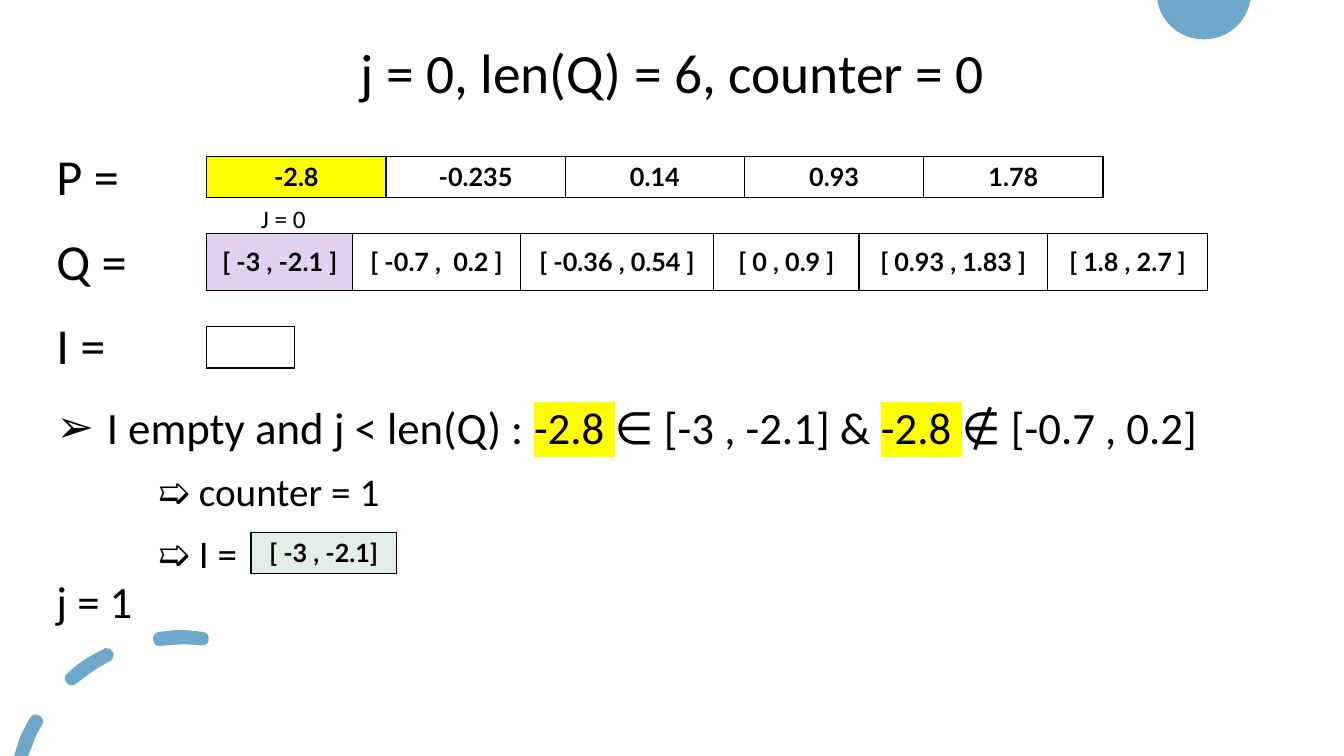
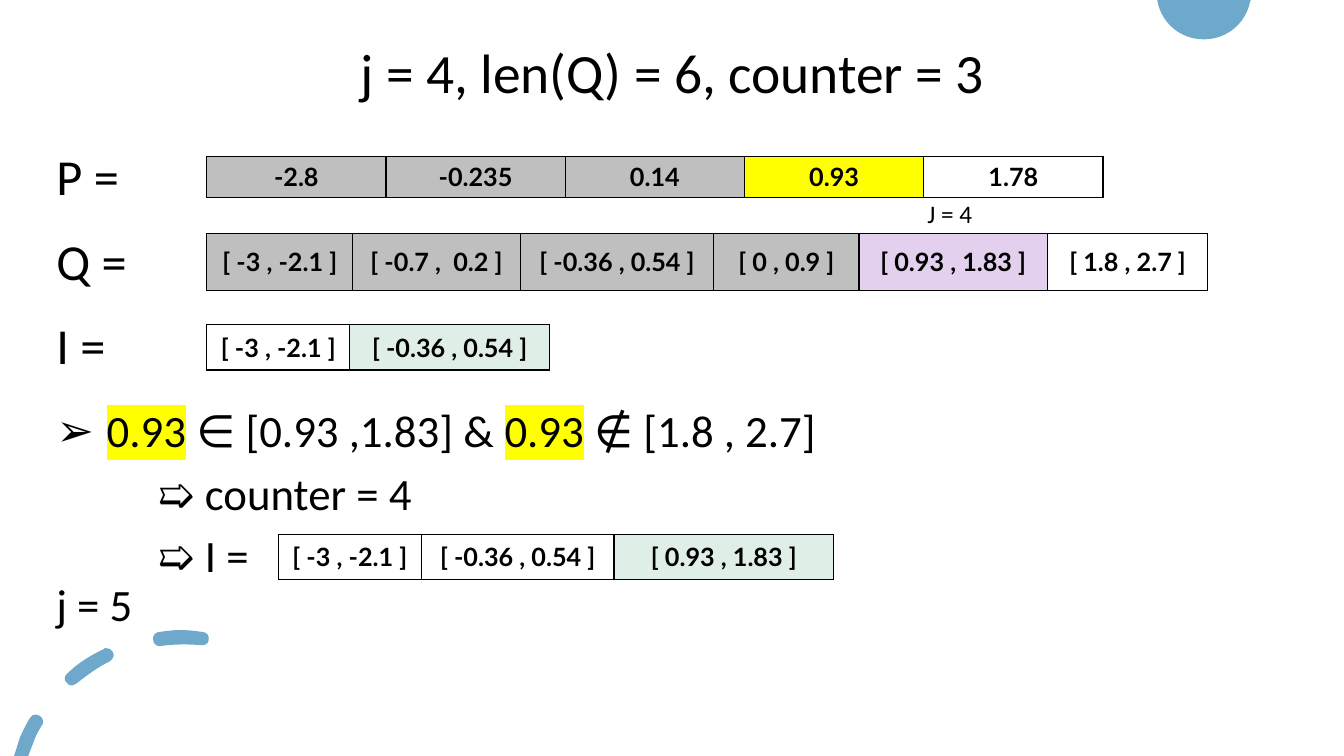
from lxml import etree
from pptx import Presentation
from pptx.dml.color import RGBColor
from pptx.enum import text as t
from pptx.oxml import ns
from pptx.util import Inches, Pt

# Shared style
BLACK = RGBColor(0x00, 0x00, 0x00)
BLUE = RGBColor(0x6E, 0xA8, 0xCA)
YELLOW = RGBColor(0xFF, 0xFF, 0x00)
LILAC = RGBColor(0xE3, 0xD0, 0xEE)
GREY = RGBColor(0xBF, 0xBF, 0xBF)
MINT = RGBColor(0xDF, 0xEF, 0xE8)
TEXT_FONT, CELL_FONT, BULLET_FONT = "Calibri", "Lato", "Arial"
TITLE_BOX = (0.92, 0.4, 11.5, 0.76)
BODY_BOX = (0.46, 1.46, 12.42, 5.25)
TABLE_LEFT = 2.05

# Content: points and intervals
POINTS = ["-2.8", "-0.235", "0.14", "0.93", "1.78"]
INTERVALS = ["[ -3 , -2.1 ]", "[ -0.7 ,  0.2 ]", "[ -0.36 , 0.54 ]",
             "[ 0 , 0.9 ]", "[ 0.93 , 1.83 ]", "[ 1.8 , 2.7 ]"]
POINT_WIDTHS = [8.89 / len(POINTS)] * len(POINTS)
INTERVAL_WIDTHS = [1.45, 1.66, 1.92, 1.44, 1.87, 1.59]
FIRST_CHOSEN = "[ -3 , -2.1\u00a0]"

# Lines: size, left indent, bullet, space before, runs
LABELS = [(36, 0, None, 0, ["P ="]),
          (36, 0, None, 22, ["Q ="]),
          (36, 0, None, 21, ["I ="])]
START_STEPS = [
    (32, 0.5, "➢", 21.5, ["I empty and j < len(Q) : ", "-2.8 ", "∈ [-3 , -2.1] & ",
                          "-2.8 ", "∉ [-0.7 , 0.2]"]),
    (28, 1, None, 13, ["➯ counter = 1"]),
    (28, 1, None, 14, ["➯ I = "]),
    (32, 0, None, 2, ["j = 1"])]
LATER_STEPS = [
    (32, 0.5, "➢", 0, ["0.93", " ∈ [0.93 ,1.83] & ", "0.93", " ∉ [1.8 , 2.7]"]),
    (32, 1, None, 10, ["➯ counter = 4"]),
    (32, 1, None, 10, ["➯ I = "]),
    (32, 0, None, 0, ["j = 5"])]

# Chosen tables: left, top, height, widths, cells
SLIDES = [
    {"title": "j = 0, len(Q) = 6, counter = 0",
     "point": 0, "interval": 0, "marker": ("J = 0", 2.49, 1.97),
     "body": LABELS + START_STEPS, "steps": None,
     "chosen": [(TABLE_LEFT, 3.24, 0.41, [0.87], [""]),
                (2.49, 5.28, 0.41, [1.44], ["[ -3 , -2.1]"])]},
    {"title": "j = 4, len(Q) = 6, counter = 3",
     "point": 3, "interval": 4, "marker": ("J = 4", 9.1, 1.92),
     "body": LABELS, "steps": LATER_STEPS,
     "chosen": [(TABLE_LEFT, 3.22, 0.45, [1.42, 1.98], [FIRST_CHOSEN, INTERVALS[2]]),
                (2.76, 5.3, 0.45, [1.42, 1.91, 2.18],
                 [FIRST_CHOSEN, INTERVALS[2], INTERVALS[4]])]},
]

# Decoration outlines: pairs are corners, sixes are Bezier curves
CIRCLE = [[(11.48, 0), (12.41, 0), (12.4, 0.01),
           (12.36, 0.23, 12.17, 0.39, 11.94, 0.39),
           (11.71, 0.39, 11.52, 0.23, 11.48, 0.01)]]
DASHES = [
    [(0.36, 7.09), (0.34, 7.08, 0.31, 7.1, 0.3, 7.12),
     (0.26, 7.18, 0.23, 7.25, 0.2, 7.31), (0.14, 7.5), (0.28, 7.5), (0.33, 7.37),
     (0.35, 7.31, 0.38, 7.25, 0.42, 7.19), (0.44, 7.16, 0.42, 7.11, 0.39, 7.1),
     (0.38, 7.09, 0.37, 7.09, 0.36, 7.09)],
    [(1.05, 6.43), (1.04, 6.43, 1.03, 6.43, 1.03, 6.44),
     (0.9, 6.5, 0.77, 6.58, 0.67, 6.68), (0.64, 6.7, 0.63, 6.75, 0.66, 6.77),
     (0.67, 6.79, 0.69, 6.8, 0.71, 6.8), (0.73, 6.8, 0.74, 6.79, 0.76, 6.78),
     (0.86, 6.7, 0.97, 6.62, 1.09, 6.56), (1.12, 6.54, 1.14, 6.5, 1.12, 6.47),
     (1.11, 6.44, 1.08, 6.43, 1.05, 6.43)],
    [(1.79, 6.25), (1.72, 6.25, 1.65, 6.26, 1.58, 6.27),
     (1.54, 6.27, 1.51, 6.31, 1.52, 6.35), (1.52, 6.38, 1.55, 6.41, 1.58, 6.41),
     (1.73, 6.39, 1.86, 6.39, 1.99, 6.4), (2.03, 6.41, 2.07, 6.38, 2.07, 6.35),
     (2.08, 6.31, 2.05, 6.27, 2.01, 6.27), (1.94, 6.26, 1.86, 6.25, 1.79, 6.25)],
]


def add_xml(parent, tag, **attributes):
    return etree.SubElement(parent, ns.qn(tag), attributes)


def place(shape, box):
    shape.left, shape.top, shape.width, shape.height = map(Inches, box)


def decorate(layout, slide, outlines):
    """Draw the outlines as one curved shape and move it to the layout."""
    builder = slide.shapes.build_freeform(*map(Inches, outlines[0][0]))
    for i, outline in enumerate(outlines):
        if i:
            builder.move_to(*map(Inches, outline[0]))
        ends = [tuple(map(Inches, segment[-2:])) for segment in outline[1:]]
        builder.add_line_segments(ends, close=True)
    shape = builder.convert_to_shape()

    # Bend the segments that have control points
    segments = [segment for outline in outlines for segment in outline[1:]]
    sides = list(shape._element.iter(ns.qn("a:lnTo")))
    for side, segment in zip(sides, segments):
        if len(segment) == 6:
            curve = etree.Element(ns.qn("a:cubicBezTo"))
            for x, y in zip(segment[::2], segment[1::2]):
                add_xml(curve, "a:pt", x=str(Inches(x) - shape.left),
                        y=str(Inches(y) - shape.top))
            side.getparent().replace(side, curve)

    shape.shadow.inherit = False
    shape.fill.solid()
    shape.fill.fore_color.rgb = BLUE
    shape.line.fill.background()
    layout.shapes._spTree.insert(2, shape._element)


def add_run(paragraph, words, size, font=TEXT_FONT, bold=False, marked=False):
    run = paragraph.add_run()
    run.text = words
    run.font.size, run.font.bold = Pt(size), bold
    run.font.color.rgb = BLACK
    if marked:
        highlight = add_xml(run.font._element, "a:highlight")
        add_xml(highlight, "a:srgbClr", val=str(YELLOW))
    run.font.name = font


def write_lines(frame, lines, current):
    frame.word_wrap = True
    frame.auto_size = t.MSO_AUTO_SIZE.NONE
    for i, (size, indent, bullet, before, runs) in enumerate(lines):
        paragraph = frame.add_paragraph() if i else frame.paragraphs[0]
        paragraph.alignment = t.PP_ALIGN.LEFT
        paragraph.line_spacing = 0.9
        paragraph.space_before, paragraph.space_after = Pt(before), Pt(0)
        properties = paragraph._p.get_or_add_pPr()
        properties.set("marL", str(Inches(indent)))
        properties.set("indent", str(-Inches(indent) if bullet else 0))
        if bullet:
            add_xml(properties, "a:buFont", typeface=BULLET_FONT)
            add_xml(properties, "a:buChar", char=bullet)
        else:
            add_xml(properties, "a:buNone")
        for words in runs:
            add_run(paragraph, words, size, marked=words.strip() == current)


def add_row(slide, left, top, height, widths, cells, fills):
    table = slide.shapes.add_table(1, len(cells), Inches(left), Inches(top),
                                   Inches(sum(widths)), Inches(height)).table
    table.first_row = table.horz_banding = False
    for i, (width, words, colour) in enumerate(zip(widths, cells, fills)):
        table.columns[i].width = Inches(width)
        cell = table.cell(0, i)
        cell.vertical_anchor = t.MSO_ANCHOR.MIDDLE
        for side in "LRTB":
            border = add_xml(cell._tc.get_or_add_tcPr(), "a:ln" + side, w=str(Pt(1)))
            add_xml(add_xml(border, "a:solidFill"), "a:srgbClr", val=str(BLACK))
        if colour is None:
            cell.fill.background()
        else:
            cell.fill.solid()
            cell.fill.fore_color.rgb = colour
        if words:
            paragraph = cell.text_frame.paragraphs[0]
            paragraph.alignment = t.PP_ALIGN.CENTER
            add_run(paragraph, words, 18, CELL_FONT, bold=True)


def progress_fills(count, current, colour):
    return [GREY] * current + [colour] + [None] * (count - current - 1)


# Presentation and shared layout
prs = Presentation()
prs.slide_width, prs.slide_height = Inches(13.33), Inches(7.5)
layout = prs.slide_layouts[1]
place(layout.placeholders[0], TITLE_BOX)
place(layout.placeholders[1], BODY_BOX)

for number, content in enumerate(SLIDES):
    slide = prs.slides.add_slide(layout)
    if number == 0:
        for outlines in (DASHES, CIRCLE):
            decorate(layout, slide, outlines)

    # Title
    title = slide.shapes.title.text_frame
    title.auto_size = t.MSO_AUTO_SIZE.NONE
    title.vertical_anchor = t.MSO_ANCHOR.TOP
    heading = title.paragraphs[0]
    heading.alignment, heading.line_spacing = t.PP_ALIGN.CENTER, 0.9
    add_run(heading, content["title"], 39.6)

    # Labels and steps
    current = POINTS[content["point"]]
    write_lines(slide.placeholders[1].text_frame, content["body"], current)
    if content["steps"]:
        steps = slide.shapes.add_textbox(*map(Inches, (BODY_BOX[0], 4.01, BODY_BOX[2], 3.09)))
        write_lines(steps.text_frame, content["steps"], current)

    # Points, intervals and chosen intervals
    add_row(slide, TABLE_LEFT, 1.55, 0.41, POINT_WIDTHS, POINTS,
            progress_fills(len(POINTS), content["point"], YELLOW))
    add_row(slide, TABLE_LEFT, 2.32, 0.56, INTERVAL_WIDTHS, INTERVALS,
            progress_fills(len(INTERVALS), content["interval"], LILAC))
    for left, top, height, widths, cells in content["chosen"]:
        newest = MINT if cells[-1] else None
        add_row(slide, left, top, height, widths, cells,
                [None] * (len(cells) - 1) + [newest])

    # Index marker
    words, left, top = content["marker"]
    marker = slide.shapes.add_textbox(*map(Inches, (left, top, 0.8, 0.4))).text_frame
    marker.word_wrap = True
    add_run(marker.paragraphs[0], words, 18)

prs.save("out.pptx")
